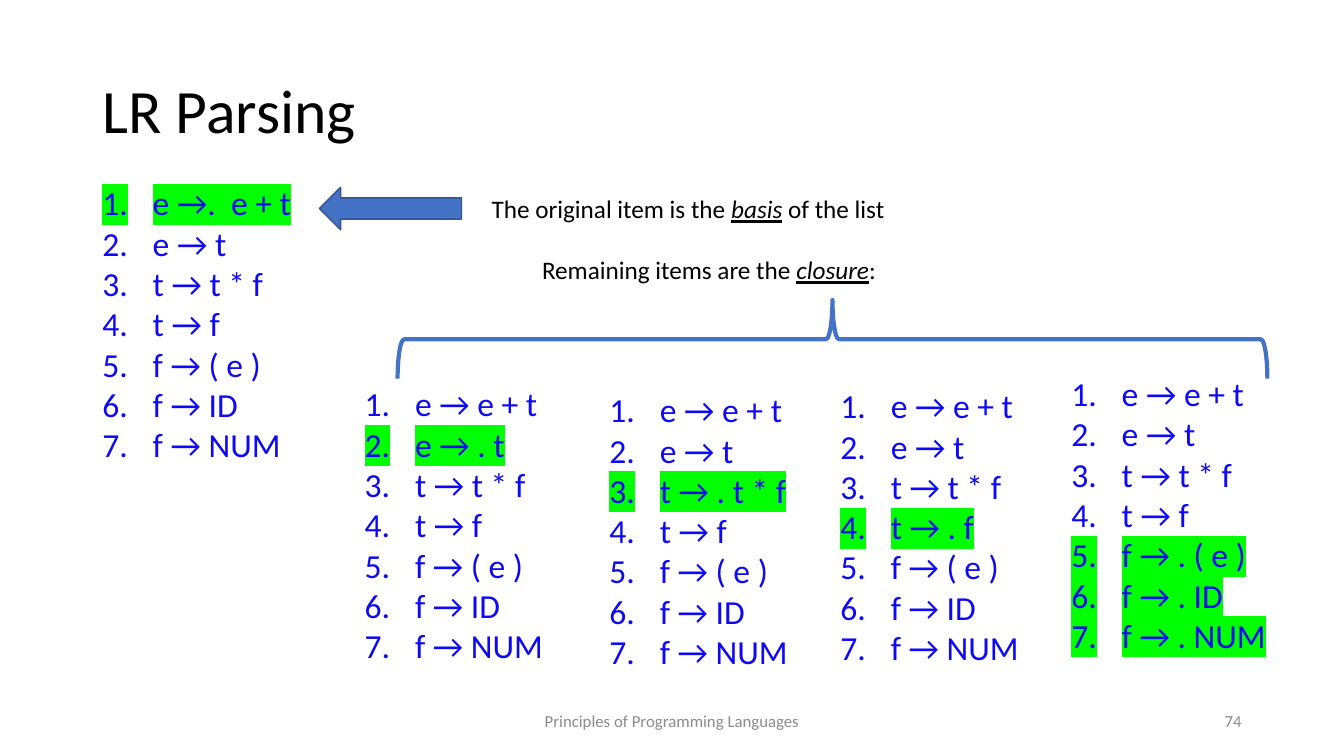
from lxml import etree
from pptx import Presentation
from pptx import util as u
from pptx.dml.color import RGBColor
from pptx.enum import shapes, text
from pptx.oxml.ns import qn

Cm = u.Cm
RULES = ["e → e + t", "e → t", "t → t * f", "t → f", "f → ( e )", "f → ID", "f → NUM"]


def rgb(value):
    return RGBColor.from_string(value)


def add_run(p, words, size, color="000000", emphasis=False):
    r = p.add_run()
    r.text = words
    r.font.name = "Calibri"
    r.font.size = u.Pt(size)
    r.font.color.rgb = rgb(color)
    if emphasis:
        r.font.italic = r.font.underline = True
    return r


prs = Presentation()
prs.slide_width, prs.slide_height = Cm(33.87), Cm(19.05)
s = prs.slides.add_slide(prs.slide_layouts[5])

title = s.shapes.title
title.left, title.top, title.width, title.height = Cm(2.33), Cm(1.01), Cm(29.21), Cm(3.68)
title.text_frame.vertical_anchor = text.MSO_ANCHOR.MIDDLE
p = title.text_frame.paragraphs[0]
p.alignment = text.PP_ALIGN.LEFT
p.line_spacing = 0.9
add_run(p, "LR Parsing", 44)

footers = [
    (11.22, 11.43, "Principles of Programming Languages", text.PP_ALIGN.CENTER),
    (23.92, 7.62, "74", text.PP_ALIGN.RIGHT),
]
for left, width, words, align in footers:
    tf = s.shapes.add_textbox(Cm(left), Cm(17.66), Cm(width), Cm(1.01)).text_frame
    tf.word_wrap = True
    tf.vertical_anchor = text.MSO_ANCHOR.MIDDLE
    tf.paragraphs[0].alignment = align
    add_run(tf.paragraphs[0], words, 12, "8C8C8C")

item_lists = [
    (2.33, 4.47, 5.36, {0: "e →.  e + t"}),
    (8.94, 9.53, 5.11, {1: "e → . t"}),
    (15.11, 9.68, 5.11, {2: "t → . t * f"}),
    (20.93, 9.58, 5.11, {3: "t → . f"}),
    (26.75, 9.27, 5.51, {4: "f → . ( e )", 5: "f → . ID", 6: "f → . NUM"}),
]
for left, top, width, dotted in item_lists:
    tf = s.shapes.add_textbox(Cm(left), Cm(top), Cm(width), Cm(7.44)).text_frame
    tf.word_wrap = False
    tf.auto_size = text.MSO_AUTO_SIZE.SHAPE_TO_FIT_TEXT
    for i, rule in enumerate(RULES):
        p = tf.add_paragraph() if i else tf.paragraphs[0]
        pPr = p._p.get_or_add_pPr()
        pPr.set("marL", str(Cm(1.27)))
        pPr.set("indent", str(Cm(-1.27)))
        etree.SubElement(pPr, qn("a:buFont"), typeface="+mj-lt")
        etree.SubElement(pPr, qn("a:buAutoNum"), type="arabicPeriod")
        r = add_run(p, dotted.get(i, rule), 24, "0D09F4")
        if i in dotted:
            highlight = etree.Element(qn("a:highlight"))
            etree.SubElement(highlight, qn("a:srgbClr"), val="00FF00")
            r._r.rPr.find(qn("a:solidFill")).addnext(highlight)

tf = s.shapes.add_textbox(Cm(12.14), Cm(4.75), Cm(11.61), Cm(2.57)).text_frame
tf.word_wrap = False
tf.auto_size = text.MSO_AUTO_SIZE.SHAPE_TO_FIT_TEXT
notes = [
    ("The original item is the ", "basis", " of the list"),
    ("\tRemaining items are the ", "closure", ":"),
]
for i, (before, term, after) in enumerate(notes):
    p = tf.add_paragraph() if i else tf.paragraphs[0]
    if i:
        p.space_before = u.Pt(22)
    add_run(p, before, 18)
    add_run(p, term, 18, emphasis=True)
    add_run(p, after, 18)

arrow = s.shapes.add_shape(shapes.MSO_SHAPE.LEFT_ARROW, Cm(8.05), Cm(4.72), Cm(3.58), Cm(1.07))
arrow.shadow.inherit = False
arrow.fill.solid()
arrow.fill.fore_color.rgb = rgb("4472C4")
arrow.line.color.rgb = rgb("325491")
arrow.line.width = u.Pt(1)

brace = s.shapes.add_shape(shapes.MSO_SHAPE.RIGHT_BRACE, Cm(19.99), Cm(-2.41), Cm(1.98), Cm(21.92))
brace.rotation = 270
brace.shadow.inherit = False
brace.fill.background()
brace.line.color.rgb = rgb("4472C4")
brace.line.width = u.Pt(3)

prs.save("out.pptx")
